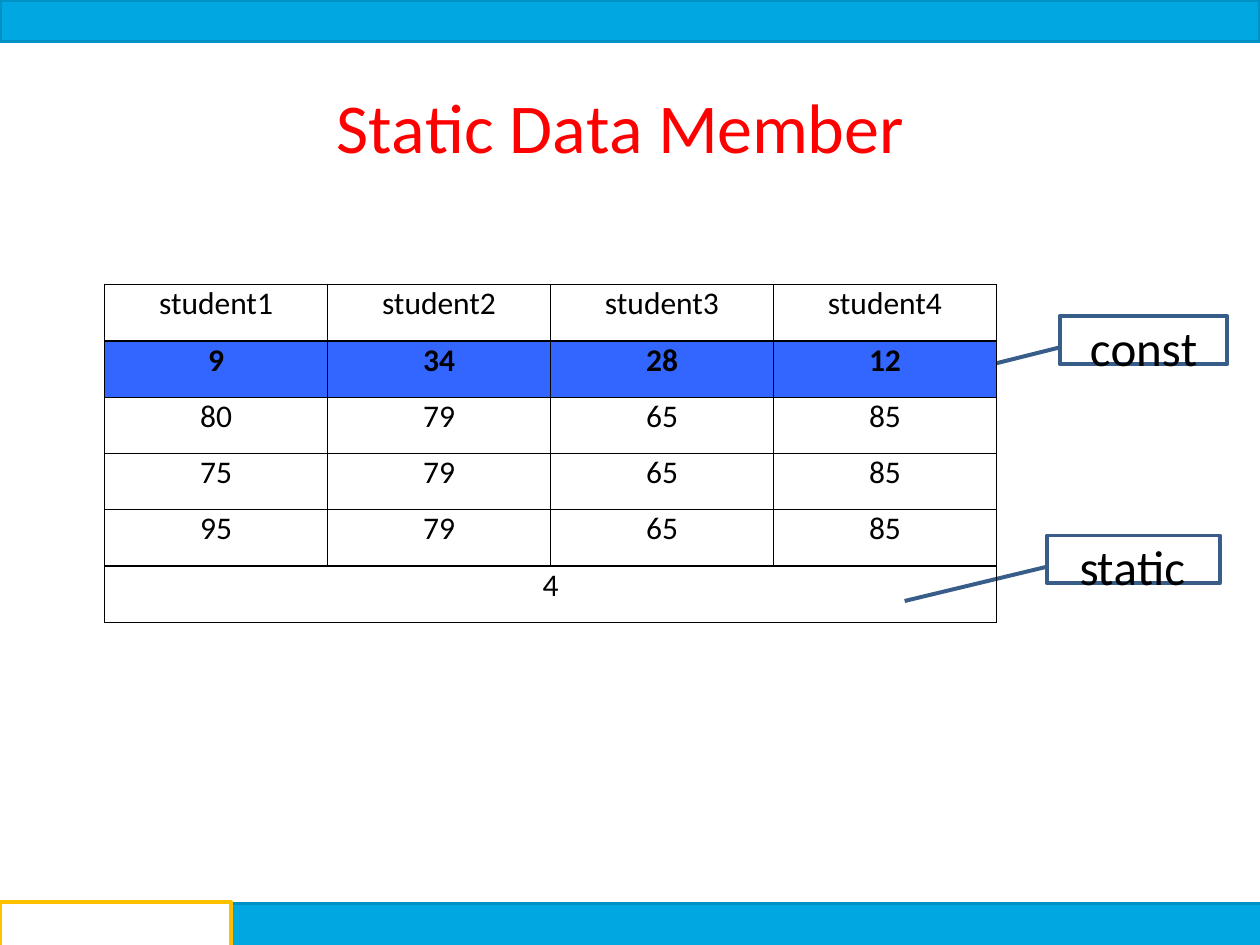
from lxml.etree import SubElement
from pptx import Presentation
from pptx.dml.color import RGBColor
from pptx.enum.shapes import MSO_CONNECTOR, MSO_SHAPE
from pptx.enum.text import PP_ALIGN
from pptx.oxml.ns import qn
from pptx.util import Inches, Pt

FONT = "Calibri"
BLUE, BLUE_EDGE, GOLD = "00A7E1", "0091C4", "FFC000"
CALLOUT, HIGHLIGHT, BLACK, WHITE = "385D89", "3366FF", "000000", "FFFFFF"

TITLE = [("S", -20), ("t", -60), ("a", -50), ("tic ", -10), ("D", -30),
         ("a", -50), ("t", -60), ("a ", -20), ("Mem", -30), ("b", -10), ("er", -20)]
ROWS = [
    ["student1", "student2", "student3", "student4"],
    ["9", "34", "28", "12"],
    ["80", "79", "65", "85"],
    ["75", "79", "65", "85"],
    ["95", "79", "65", "85"],
    ["4"],
]
CONST_ROW = 1
TABLE_BOX = (0.83, 2.26, 7.08, 2.68)
CALLOUTS = [
    {"box": (8.31, 4.25, 1.37, 0.38), "line": (8.3, 4.5, 7.18, 4.77),
     "label": (8.56, 4.26, 0.87, 0.42),
     "runs": [("st", -60), ("a", -30), ("tic", -10)]},
    {"box": (8.41, 2.51, 1.33, 0.38), "line": (8.4, 2.76, 7.32, 3.03),
     "label": (8.64, 2.52, 0.88, 0.42),
     "runs": [("c", -30), ("on", -20), ("s", -60), ("t", -10)]},
]


def rgb(value):
    return RGBColor.from_string(value)


def inches(values):
    return [Inches(value) for value in values]


def style(shape, fill=None, line=None, width=2.28):
    shape.shadow.inherit = False
    if fill:
        shape.fill.solid()
        shape.fill.fore_color.rgb = rgb(fill)
    else:
        shape.fill.background()
    if line:
        shape.line.color.rgb = rgb(line)
        shape.line.width = Pt(width)
    else:
        shape.line.fill.background()


def add_box(slide, box, **look):
    style(slide.shapes.add_shape(MSO_SHAPE.RECTANGLE, *inches(box)), **look)


def add_outline(slide, points, **look):
    start, *rest = [inches(point) for point in points]
    builder = slide.shapes.build_freeform(*start)
    builder.add_line_segments(rest, close=False)
    style(builder.convert_to_shape(), **look)


def add_run(paragraph, text, size, color, bold=False, spacing=0):
    run = paragraph.add_run()
    run.text = text
    run.font.name = FONT
    run.font.size = Pt(size)
    run.font.bold = bold
    run.font.color.rgb = rgb(color)
    if spacing:
        run.font._element.set("spc", str(spacing))


def clear_margins(target):
    target.margin_left = target.margin_right = 0
    target.margin_top = target.margin_bottom = 0


def add_text(slide, box, runs, size, color, indent):
    frame = slide.shapes.add_textbox(*inches(box)).text_frame
    frame.word_wrap = True
    clear_margins(frame)
    frame.margin_left = Inches(indent)
    for text, spacing in runs:
        add_run(frame.paragraphs[0], text, size, color, spacing=spacing)


def add_borders(cell):
    properties = cell._tc.get_or_add_tcPr()
    for side in ("lnL", "lnR", "lnT", "lnB"):
        border = SubElement(properties, qn(f"a:{side}"), w=str(Pt(1)))
        fill = SubElement(border, qn("a:solidFill"))
        SubElement(fill, qn("a:srgbClr"), val=BLACK)


def add_students(slide):
    table = slide.shapes.add_table(len(ROWS), len(ROWS[0]), *inches(TABLE_BOX)).table
    table.first_row = table.horz_banding = False
    for row_index, values in enumerate(ROWS):
        highlighted = row_index == CONST_ROW
        cells = list(table.rows[row_index].cells)
        if len(values) == 1:
            cells[0].merge(cells[-1])
        for cell in cells:
            clear_margins(cell)
            add_borders(cell)
            if highlighted:
                cell.fill.solid()
                cell.fill.fore_color.rgb = rgb(HIGHLIGHT)
            else:
                cell.fill.background()
        for cell, value in zip(cells, values):
            paragraph = cell.text_frame.paragraphs[0]
            paragraph.alignment = PP_ALIGN.CENTER
            add_run(paragraph, value, 18, BLACK, bold=highlighted)


def add_callout(slide, callout):
    add_box(slide, callout["box"], line=CALLOUT)
    connector = slide.shapes.add_connector(MSO_CONNECTOR.STRAIGHT, *inches(callout["line"]))
    connector.line.color.rgb = rgb(CALLOUT)
    connector.line.width = Pt(2.28)
    SubElement(connector._element.spPr, qn("a:effectLst"))
    add_text(slide, callout["label"], callout["runs"], 28, BLACK, 0.01)


def main():
    presentation = Presentation()
    presentation.slide_width, presentation.slide_height = Inches(10), Inches(7.5)
    slide = presentation.slides.add_slide(presentation.slide_layouts[6])
    add_box(slide, (0, 0, 10, 0.33), fill=BLUE, line=BLUE_EDGE, width=2.04)
    add_text(slide, (0.6, 0.66, 8.81, 0.64), TITLE, 40, "FF0000", 2.07)
    add_box(slide, (1.83, 7.17, 8.17, 0.33), fill=BLUE)
    add_outline(slide, [(10, 7.17), (0, 7.17), (0, 7.5)], line=BLUE_EDGE, width=2.04)
    add_box(slide, (0, 7.16, 1.83, 0.34), fill=WHITE)
    add_outline(slide, [(1.83, 7.5), (1.83, 7.16), (0, 7.16), (0, 7.5)], line=GOLD)
    for callout in CALLOUTS:
        add_callout(slide, callout)
    add_students(slide)
    presentation.save("out.pptx")


if __name__ == "__main__":
    main()
